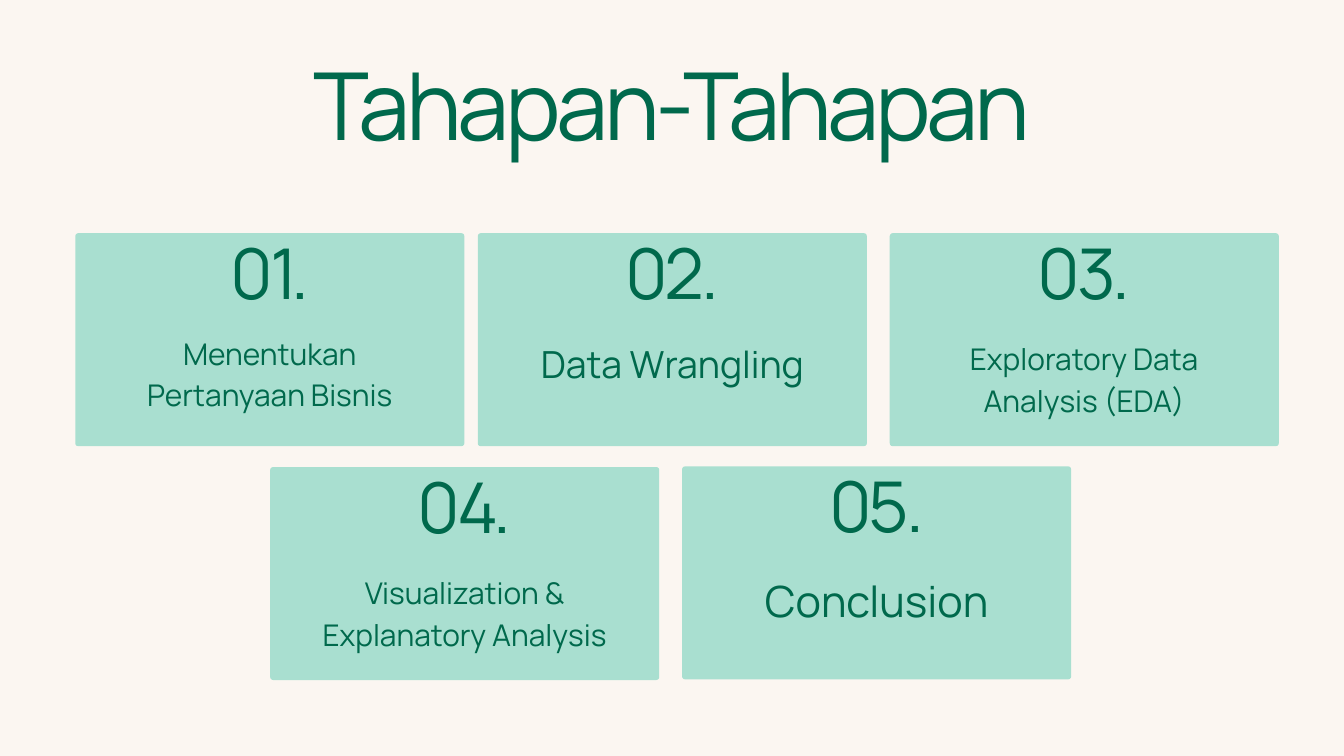
from pptx import Presentation
from pptx.dml.color import RGBColor
from pptx.enum.shapes import MSO_SHAPE as Preset
from pptx.enum.text import MSO_ANCHOR as Anchor, MSO_AUTO_SIZE as AutoSize, PP_ALIGN as Align
from pptx.util import Inches, Pt

COLORS = {"background": "FBF6F1", "card": "A9DFD0", "text": "00694C"}
FONT = "Manrope"
CARD_WIDTH, CARD_HEIGHT, CORNER = 5.79, 3.17, 0.045
NUMBER_WIDTH, LABEL_WIDTH = 2.65, 4.85

STEPS = [
    ("Menentukan Pertanyaan Bisnis", 32, 1.12, 3.47, 1.43),
    ("Data Wrangling", 40, 7.11, 3.47, 1.5),
    ("Exploratory Data Analysis (EDA)", 32, 13.24, 3.47, 1.51),
    ("Visualization & Explanatory Analysis", 32, 4.02, 6.95, 1.51),
    ("Conclusion", 46, 10.15, 6.94, 1.48),
]


def color(name):
    return RGBColor.from_string(COLORS[name])


def write_text(box, text, size, leading, tracking=0):
    frame = box.text_frame
    frame.text = text
    frame.word_wrap = True
    frame.auto_size = AutoSize.NONE
    frame.vertical_anchor = Anchor.TOP
    frame.margin_left = frame.margin_right = frame.margin_top = frame.margin_bottom = 0
    para = frame.paragraphs[0]
    para.alignment = Align.CENTER
    para.line_spacing = Pt(leading)
    span = para.runs[0]
    span.font.name = FONT
    span.font.size = Pt(size)
    span.font.color.rgb = color("text")
    if tracking:
        span.font._element.set("spc", str(round(tracking * 100)))


def add_title(page, text):
    title = page.shapes.title
    title.left, title.top = Inches(2.42), Inches(1.12)
    title.width, title.height = Inches(15.15), Inches(1.37)
    write_text(title, text, 100.4, 90.4, -4.6)


def add_text(page, text, left, top, width, height, size, leading, tracking=0):
    box = page.shapes.add_textbox(Inches(left), Inches(top), Inches(width), Inches(height))
    write_text(box, text, size, leading, tracking)


def add_card(page, left, top):
    card = page.shapes.add_shape(
        Preset.ROUNDED_RECTANGLE, Inches(left), Inches(top), Inches(CARD_WIDTH), Inches(CARD_HEIGHT)
    )
    card.adjustments[0] = CORNER / CARD_HEIGHT
    card.shadow.inherit = False
    card.fill.solid()
    card.fill.fore_color.rgb = color("card")
    card.line.fill.background()


def add_step(page, number, label, size, left, top, label_offset):
    center = left + CARD_WIDTH / 2
    add_card(page, left, top)
    add_text(page, f"{number:02}.", center - NUMBER_WIDTH / 2, top + 0.26,
             NUMBER_WIDTH, 1.03, 75, 67.5, -3.5)
    add_text(page, label, center - LABEL_WIDTH / 2, top + label_offset,
             LABEL_WIDTH, 1.21, size, size * 1.4)


def main():
    deck = Presentation()
    deck.slide_width, deck.slide_height = Inches(20), Inches(11.25)
    page = deck.slides.add_slide(deck.slide_layouts.get_by_name("Title Only"))
    page.background.fill.solid()
    page.background.fill.fore_color.rgb = color("background")
    add_title(page, "Tahapan-Tahapan")
    for number, step in enumerate(STEPS, start=1):
        add_step(page, number, *step)
    deck.save("out.pptx")


if __name__ == "__main__":
    main()
